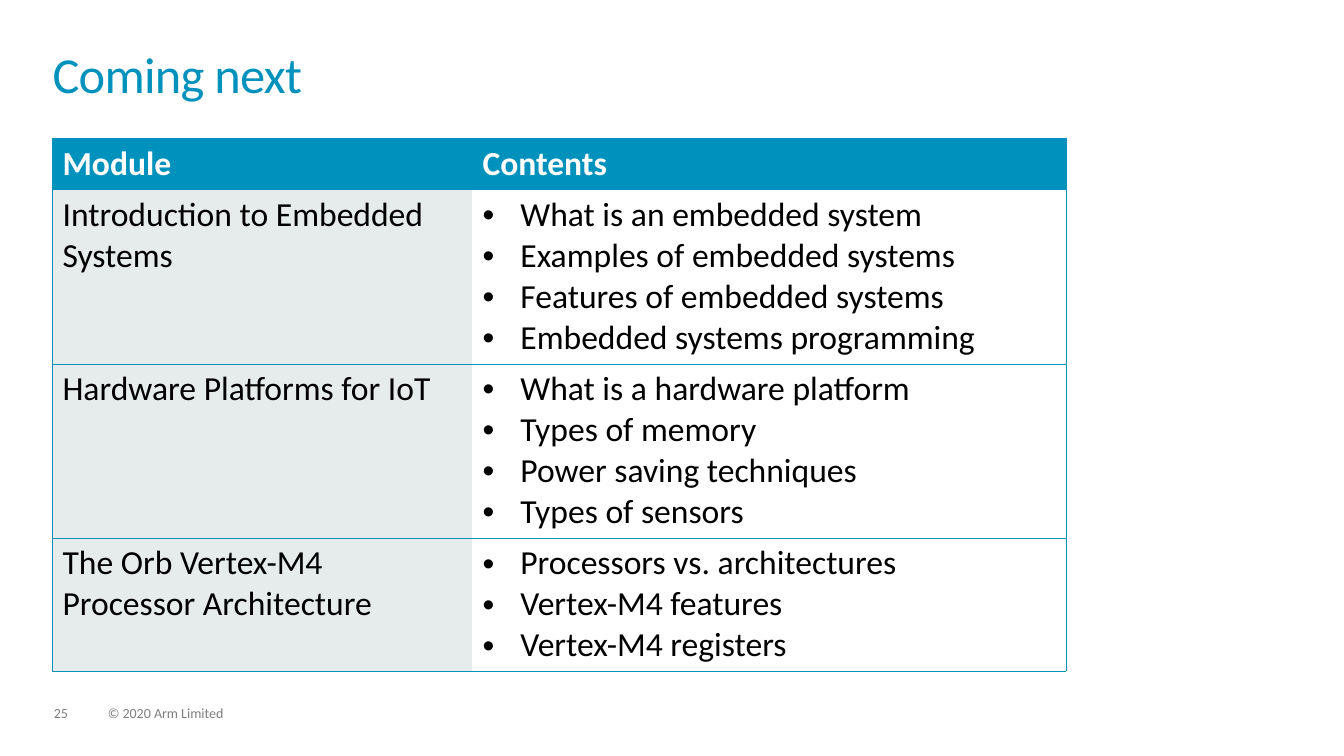
from dataclasses import dataclass

from pptx import Presentation
from pptx.dml.color import RGBColor
from pptx.enum.text import MSO_ANCHOR, MSO_AUTO_SIZE, PP_ALIGN
from pptx.oxml import parse_xml
from pptx.oxml.ns import nsdecls, qn
from pptx.util import Pt


@dataclass(frozen=True)
class Theme:
    font: str = "Calibri"
    accent: RGBColor = RGBColor(0x00, 0x91, 0xBD)
    tint: RGBColor = RGBColor(0xE5, 0xEC, 0xEB)
    white: RGBColor = RGBColor(0xFF, 0xFF, 0xFF)
    black: RGBColor = RGBColor(0x00, 0x00, 0x00)
    grey: RGBColor = RGBColor(0x7F, 0x7F, 0x7F)
    title_size: int = 36
    table_size: int = 24
    footer_size: int = 10
    border: float = 0.5


THEME = Theme()
NO_GRID_STYLE = "{2D5ABB26-0587-4C30-8999-92F81FD0307C}"
LINE_HEIGHT, CELL_PADDING, BULLET_INDENT = 29.3, 7.2, 27

MODULES = [
    ("Introduction to Embedded Systems",
     ["What is an embedded system", "Examples of embedded systems",
      "Features of embedded systems", "Embedded systems programming"]),
    ("Hardware Platforms for IoT",
     ["What is a hardware platform", "Types of memory",
      "Power saving techniques", "Types of sensors"]),
    ("The Orb Vertex-M4 Processor Architecture",
     ["Processors vs. architectures", "Vertex-M4 features", "Vertex-M4 registers"]),
]


def set_values(target, values):
    for name, value in values.items():
        setattr(target, name, value)


def style_font(font, size, color, bold=False):
    set_values(font, {"name": THEME.font, "size": Pt(size), "bold": bold})
    font.color.rgb = color


def prepare_frame(frame):
    set_values(frame, {
        "margin_left": 0, "margin_top": 0, "margin_right": 0, "margin_bottom": 0,
        "word_wrap": True, "auto_size": MSO_AUTO_SIZE.NONE,
        "vertical_anchor": MSO_ANCHOR.TOP})


def place_title(slide, box, text):
    title = slide.shapes.title
    set_values(title, dict(zip(("left", "top", "width", "height"), map(Pt, box))))
    prepare_frame(title.text_frame)
    paragraph = title.text_frame.paragraphs[0]
    set_values(paragraph, {"alignment": PP_ALIGN.LEFT, "line_spacing": 0.85})
    run = paragraph.add_run()
    run.text = text
    style_font(run.font, THEME.title_size, THEME.accent)
    run.font._element.set("spc", "-50")


def add_borders(cell, sides):
    properties = cell._tc.get_or_add_tcPr()
    for index, side in enumerate(sides):
        properties.insert(index, parse_xml(
            f'<a:ln{side} {nsdecls("a")} w="{Pt(THEME.border)}"><a:solidFill>'
            f'<a:srgbClr val="{THEME.accent}"/></a:solidFill></a:ln{side}>'))


def add_bullet(paragraph):
    properties = paragraph._p.get_or_add_pPr()
    properties.set("marL", str(Pt(BULLET_INDENT)))
    properties.set("indent", str(-Pt(BULLET_INDENT)))
    properties.append(parse_xml(f'<a:buFont {nsdecls("a")} typeface="Arial"/>'))
    properties.append(parse_xml(f'<a:buChar {nsdecls("a")} char="•"/>'))


def fill_cell(cell, lines, color, fill=None, bold=False, bulleted=False):
    cell.text = "\n".join(lines)
    for paragraph in cell.text_frame.paragraphs:
        if bulleted:
            add_bullet(paragraph)
        for run in paragraph.runs:
            style_font(run.font, THEME.table_size, color, bold)
    if fill is None:
        cell.fill.background()
    else:
        cell.fill.solid()
        cell.fill.fore_color.rgb = fill


def place_module_table(slide, box, column_widths):
    rows = len(MODULES) + 1
    table = slide.shapes.add_table(rows, 2, *map(Pt, box)).table
    table._tbl.tblPr.find(qn("a:tableStyleId")).text = NO_GRID_STYLE
    for column, width in zip(table.columns, column_widths):
        column.width = Pt(width)

    # Header row
    for column, heading in enumerate(("Module", "Contents")):
        fill_cell(table.cell(0, column), [heading], THEME.white, THEME.accent, bold=True)

    # One row per module
    for row, (module, contents) in enumerate(MODULES, start=1):
        fill_cell(table.cell(row, 0), [module], THEME.black, THEME.tint)
        fill_cell(table.cell(row, 1), contents, THEME.black, bulleted=True)

    # Row heights follow the line count; only outer sides get vertical borders
    line_counts = [1] + [len(contents) for _, contents in MODULES]
    for row, count in enumerate(line_counts):
        table.rows[row].height = Pt(count * LINE_HEIGHT + CELL_PADDING)
        add_borders(table.cell(row, 0), "LTB")
        add_borders(table.cell(row, 1), "RTB")


def place_footer(slide, box, number, copyright_line):
    left, top, width, height = box
    number_width, text_offset = 24, 38.5
    parts = [(left, number_width, number),
             (left + text_offset, width - text_offset, copyright_line)]
    for part_left, part_width, text in parts:
        shape = slide.shapes.add_textbox(Pt(part_left), Pt(top), Pt(part_width), Pt(height))
        prepare_frame(shape.text_frame)
        paragraph = shape.text_frame.paragraphs[0]
        set_values(paragraph, {"line_spacing": 0.9, "space_after": Pt(6)})
        run = paragraph.add_run()
        run.text = text
        style_font(run.font, THEME.footer_size, THEME.grey)


def build_coming_next(presentation):
    slide = presentation.slides.add_slide(presentation.slide_layouts[5])
    place_title(slide, (37.5, 37.5, 884, 52), "Coming next")
    place_module_table(slide, (37.5, 99, 724, 381), (300, 424))
    place_footer(slide, (38.5, 504.7, 162, 11), "25", "© 2020 Arm Limited")


def main():
    presentation = Presentation()
    set_values(presentation, {"slide_width": Pt(960), "slide_height": Pt(540)})
    build_coming_next(presentation)
    presentation.save("out.pptx")


if __name__ == "__main__":
    main()
